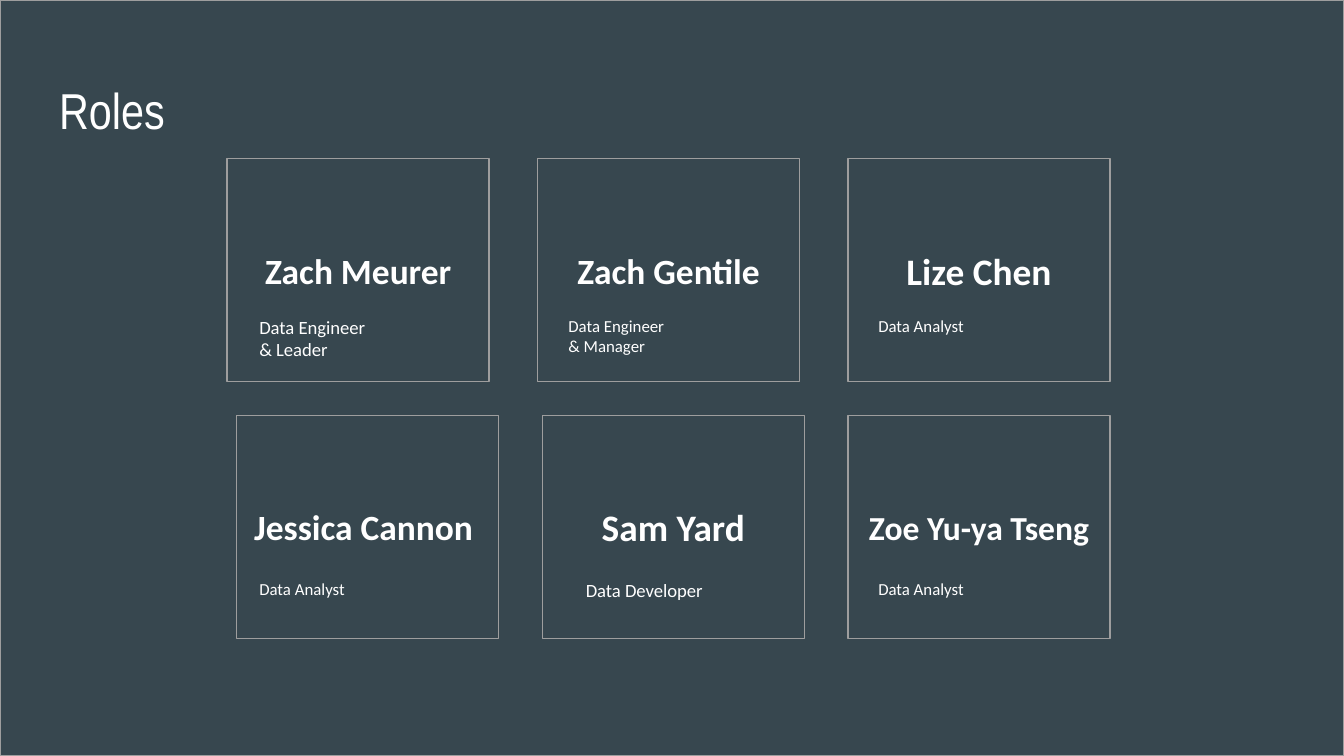
from lxml.etree import SubElement
from pptx import Presentation
from pptx.dml.color import RGBColor
from pptx.enum.shapes import MSO_SHAPE
from pptx.enum.text import MSO_ANCHOR, MSO_AUTO_SIZE, PP_ALIGN
from pptx.oxml.ns import qn
from pptx.util import Pt

SLATE, GREY, WHITE = "37474F", "9E9E9E", "FFFFFF"
CARD_WIDTH, CARD_HEIGHT = 140.4, 119.5


def add_panel(left, top, width, height):
    """Add a translucent slate rectangle with a thin grey outline."""
    panel = slide.shapes.add_shape(
        MSO_SHAPE.RECTANGLE, Pt(left), Pt(top), Pt(width), Pt(height))
    panel.shadow.inherit = False
    panel.fill.solid()
    panel.fill.fore_color.rgb = RGBColor.from_string(SLATE)
    color = panel.fill._xPr.find(qn("a:solidFill"))[0]
    SubElement(color, qn("a:alpha")).set("val", "72000")
    panel.line.color.rgb = RGBColor.from_string(GREY)
    panel.line.width = Pt(0.75)
    return panel


def write_text(shape, lines, size, font="Calibri", bold=False,
               align=PP_ALIGN.LEFT, anchor=MSO_ANCHOR.TOP):
    frame = shape.text_frame
    frame.word_wrap = True
    frame.auto_size = MSO_AUTO_SIZE.NONE
    frame.vertical_anchor = anchor
    frame.margin_left = frame.margin_right = Pt(7.2)
    frame.margin_top = frame.margin_bottom = Pt(7.2)
    for index, line in enumerate(lines):
        paragraph = frame.add_paragraph() if index else frame.paragraphs[0]
        paragraph.alignment = align
        paragraph.line_spacing = 1.0
        paragraph.space_before = Pt(0)
        run = paragraph.add_run()
        run.text = line
        run.font.name = font
        run.font.size = Pt(size)
        run.font.bold = bold
        run.font.color.rgb = RGBColor.from_string(WHITE)


presentation = Presentation()
presentation.slide_width, presentation.slide_height = Pt(720), Pt(405)
slide = presentation.slides.add_slide(presentation.slide_layouts[5])
slide.background.fill.solid()
slide.background.fill.fore_color.rgb = RGBColor.from_string(SLATE)

backdrop = add_panel(0, 0, 720, 405)
title = slide.shapes.title
title.left, title.top, title.width, title.height = Pt(24.5), Pt(35.3), Pt(671), Pt(45.4)
write_text(title, ["Roles"], 27, font="Arial Narrow")
# The backdrop goes behind the title
slide.shapes._spTree.remove(backdrop._element)
slide.shapes._spTree.insert(2, backdrop._element)

# Each row: card left, column pitch, card top, role top, then its members
# Each member: name, name size, role lines, role size, role left, role width
rows = [
    (121.7, 166.3, 85, 162, [
        ("Zach Meurer", 19, ["Data Engineer", "& Leader"], 10, 131.8, 156),
        ("Zach Gentile", 19, ["Data Engineer", "& Manager"], 9, 297.4, 156),
        ("Lize Chen", 20, ["Data Analyst"], 9, 463.4, 156),
    ]),
    (126.7, 163.8, 222.5, 303, [
        ("Jessica Cannon ", 19, ["Data Analyst"], 9, 131.8, 156),
        ("Sam Yard", 20, ["Data Developer"], 10, 306.7, 98),
        ("Zoe Yu-ya Tseng", 18, ["Data Analyst"], 9, 463.4, 156),
    ]),
]
for row_left, pitch, card_top, role_top, members in rows:
    for column, (name, name_size, role, role_size, role_left, role_width) in enumerate(members):
        card = add_panel(row_left + column * pitch, card_top, CARD_WIDTH, CARD_HEIGHT)
        write_text(card, [name], name_size, bold=True,
                   align=PP_ALIGN.CENTER, anchor=MSO_ANCHOR.MIDDLE)
        role_box = slide.shapes.add_textbox(
            Pt(role_left), Pt(role_top), Pt(role_width), Pt(33))
        write_text(role_box, role, role_size)

presentation.save("out.pptx")
